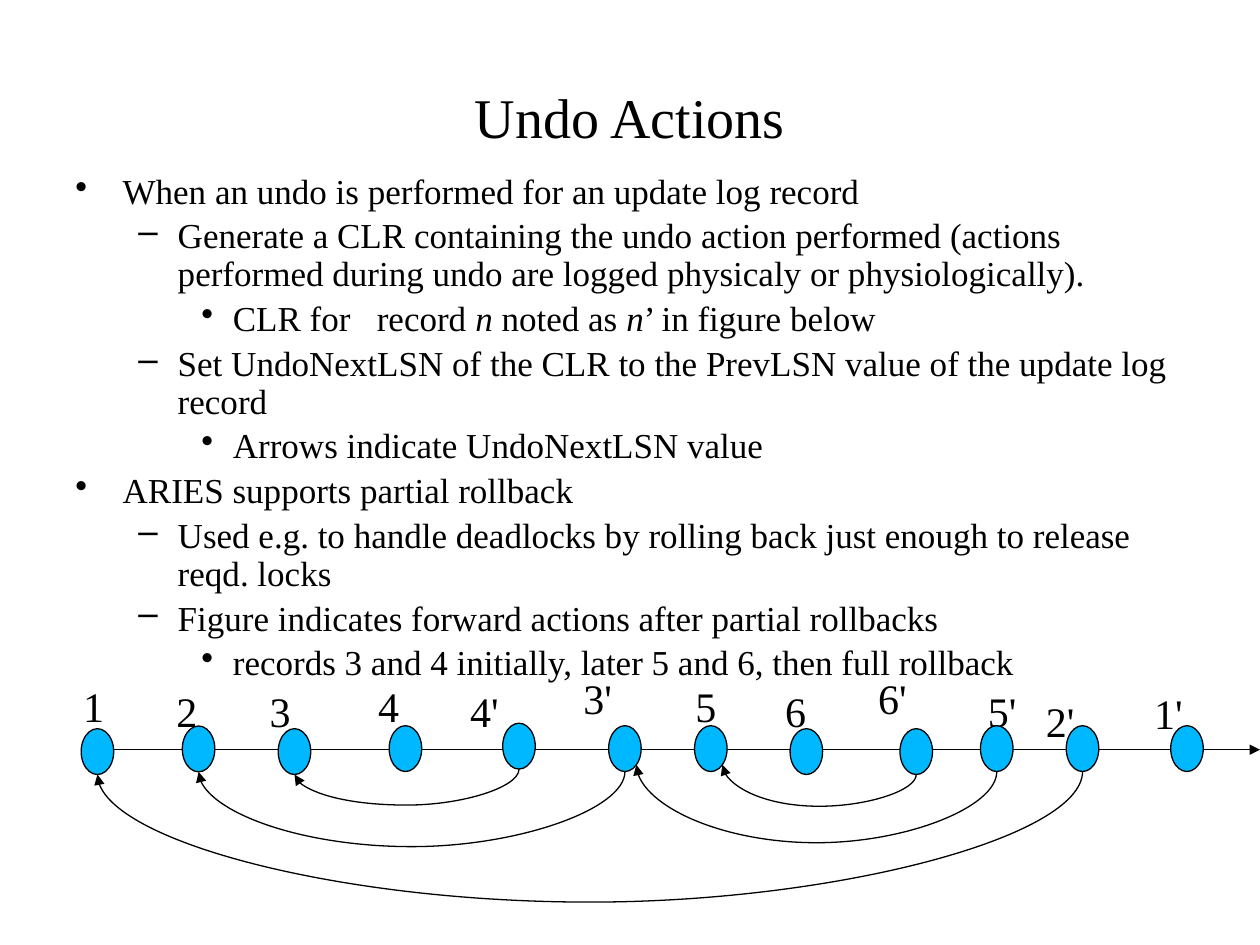
"""Build the Undo Actions slide with a bulleted explanation and a log record timeline."""
from dataclasses import dataclass

from lxml import etree
from pptx import Presentation
from pptx.dml.color import RGBColor
from pptx.enum.shapes import MSO_CONNECTOR, MSO_SHAPE
from pptx.enum.text import MSO_ANCHOR, PP_ALIGN
from pptx.oxml.ns import qn
from pptx.util import Pt

STRAIGHT, CURVE = MSO_CONNECTOR.STRAIGHT, MSO_CONNECTOR.CURVE
OVAL = MSO_SHAPE.OVAL
TOP, MIDDLE = MSO_ANCHOR.TOP, MSO_ANCHOR.MIDDLE
LEFT, CENTER = PP_ALIGN.LEFT, PP_ALIGN.CENTER

BLACK = RGBColor(0, 0, 0)
BLUE = RGBColor(0x00, 0xB8, 0xFF)
FONT = "Times New Roman"
NODE_WIDTH, NODE_HEIGHT = 18.6, 26.2
LINE_WIDTH = 0.75
AXIS_TOP = 428.4
CORNER = 0.5 + 0.5 ** 1.5

LEVELS = [(27, -27, "•"), (58.5, -22.5, "–"), (90, -18, "•")]

BULLETS = [
    (0, ["When an undo is performed for an update log record"]),
    (1, ["Generate a CLR containing the undo action performed (actions "
         "performed during undo are logged physicaly or physiologically)."]),
    (2, ["CLR for   record ", "n", " noted as ", "n", "’ in figure below"]),
    (1, ["Set UndoNextLSN of the CLR to the PrevLSN value of the update log record"]),
    (2, ["Arrows indicate UndoNextLSN value"]),
    (0, ["ARIES supports partial rollback"]),
    (1, ["Used e.g. to handle deadlocks by rolling back just enough to release reqd. locks"]),
    (1, ["Figure indicates forward actions after partial rollbacks"]),
    (2, ["records 3 and 4 initially, later 5 and 6, then full rollback"]),
]


@dataclass
class Record:
    """A log record: its name, node corner and label corner."""
    name: str
    left: float
    top: float
    label_left: float
    label_top: float

    def bottom(self):
        """Return the lowest point of the node."""
        return self.left + NODE_WIDTH / 2, self.top + NODE_HEIGHT

    def corner(self):
        """Return the lower right point of the node outline."""
        return self.left + NODE_WIDTH * CORNER, self.top + NODE_HEIGHT * CORNER


RECORDS = [
    Record("1", 46.4, 416.4, 47.5, 393.1),
    Record("2", 104.2, 414.87, 100.8, 396),
    Record("3", 159, 416.4, 154.1, 396),
    Record("4", 222.4, 414.7, 216, 393.1),
    Record("4'", 287.3, 413.3, 268.6, 396),
    Record("3'", 347.8, 414.7, 333.4, 388.8),
    Record("5", 396.9, 414.7, 397.4, 393.1),
    Record("6", 451.5, 416.4, 448.6, 396),
    Record("6'", 514.3, 416.4, 501.8, 388.8),
    Record("5'", 560.3, 414.7, 564.5, 396),
    Record("2'", 609.3, 414.7, 597.6, 401.8),
    Record("1'", 669, 414.7, 659.5, 397.4),
]
LABEL_SPLIT = 7

ARCS = [
    ("2'", "1", 515.5, False),
    ("6'", "5", 460.8, True),
    ("5'", "3'", 481.7, True),
    ("3'", "2", 483.8, False),
    ("4'", "3", 460.1, False),
]


def add_span(para, text, size, italic=False):
    """Append a formatted run to a paragraph."""
    span = para.add_run()
    span.text = text
    span.font.name = FONT
    span.font.size = Pt(size)
    span.font.italic = italic
    span.font.color.rgb = BLACK


def add_text(page, text, left, top, width, height, size, *, align=LEFT,
             anchor=TOP, inset=(0, 0), spacing=1.0, wrap=True):
    """Add a text box; an empty text leaves its first paragraph unfilled."""
    box = page.shapes.add_textbox(Pt(left), Pt(top), Pt(width), Pt(height))
    frame = box.text_frame
    frame.word_wrap = wrap
    frame.vertical_anchor = anchor
    frame.margin_left = frame.margin_right = Pt(inset[0])
    frame.margin_top = frame.margin_bottom = Pt(inset[1])
    para = frame.paragraphs[0]
    para.alignment = align
    para.line_spacing = spacing
    if text:
        add_span(para, text, size)
    return frame


def set_bullet(para, level):
    """Give a paragraph the indents and bullet of its level."""
    margin, indent, mark = LEVELS[level]
    para.level = level
    properties = para._p.get_or_add_pPr()
    properties.set("marL", str(Pt(margin)))
    properties.set("indent", str(Pt(indent)))
    etree.SubElement(properties, qn("a:buChar"), char=mark)


def add_bullets(page):
    """Add the bulleted explanation; every second span is italic."""
    frame = add_text(page, "", 36, 95.8, 648, 356.4, 20, inset=(7.2, 3.6))
    for index, (level, spans) in enumerate(BULLETS):
        para = frame.add_paragraph() if index else frame.paragraphs[0]
        para.line_spacing = 0.9
        para.space_before = Pt(4)
        set_bullet(para, level)
        for position, text in enumerate(spans):
            add_span(para, text, 20, italic=position % 2 == 1)


def add_arrow(page, kind, start, end):
    """Add a thin black connector with an arrowhead at its end."""
    arrow = page.shapes.add_connector(kind, *(Pt(value) for value in (*start, *end)))
    arrow.line.color.rgb = BLACK
    arrow.line.width = Pt(LINE_WIDTH)
    line = arrow.line._get_or_add_ln()
    etree.SubElement(line, qn("a:tailEnd"), type="triangle", w="med", len="med")
    etree.SubElement(arrow._element.spPr, qn("a:effectLst"))
    return arrow


def add_arc(page, start, end, floor):
    """Add a curved arrow that runs leftwards and hangs down to the floor."""
    drop, reach = end[1] - start[1], start[0] - end[0]
    size = abs(drop)
    left = (start[0] + end[0] - size) / 2
    top = (start[1] + end[1] - reach) / 2
    arc = add_arrow(page, CURVE, (left, top), (left + size, top + reach))
    frame = arc._element.spPr.find(qn("a:xfrm"))
    frame.set("rot", str((90 if drop > 0 else 270) * 60000))
    if drop < 0:
        frame.set("flipV", "1")
    geometry = arc._element.spPr.find(qn("a:prstGeom"))
    guides = geometry.find(qn("a:avLst"))
    if guides is None:
        guides = etree.SubElement(geometry, qn("a:avLst"))
    bend = round((floor - start[1]) / drop * 100000)
    etree.SubElement(guides, qn("a:gd"), name="adj1", fmla=f"val {bend}")


def add_node(page, record):
    """Add the blue oval of a log record."""
    node = page.shapes.add_shape(OVAL, Pt(record.left), Pt(record.top),
                                 Pt(NODE_WIDTH), Pt(NODE_HEIGHT))
    node.shadow.inherit = False
    node.fill.solid()
    node.fill.fore_color.rgb = BLUE
    node.line.color.rgb = BLACK
    node.line.width = Pt(LINE_WIDTH)


def add_timeline(page):
    """Add the axis, the records with their labels, and the undo arrows."""
    add_arrow(page, STRAIGHT, (46.8, AXIS_TOP), (720, AXIS_TOP))
    for record in RECORDS[:LABEL_SPLIT]:
        add_node(page, record)
    for record in RECORDS:
        add_text(page, record.name, record.label_left, record.label_top,
                 12 * len(record.name), 28.8, 24, spacing=0.85, wrap=False)
    for record in RECORDS[LABEL_SPLIT:]:
        add_node(page, record)
    by_name = {record.name: record for record in RECORDS}
    for source, target, floor, at_corner in ARCS:
        goal = by_name[target]
        end = goal.corner() if at_corner else goal.bottom()
        add_arc(page, by_name[source].bottom(), end, floor)


def main():
    """Create the deck and save it."""
    deck = Presentation()
    deck.slide_width, deck.slide_height = Pt(720), Pt(540)
    page = deck.slides.add_slide(deck.slide_layouts[6])
    add_text(page, "Undo Actions", 36, 21.6, 648, 90, 32, align=CENTER,
             anchor=MIDDLE, inset=(7.2, 3.6))
    add_bullets(page)
    add_timeline(page)
    deck.save("out.pptx")


main()
